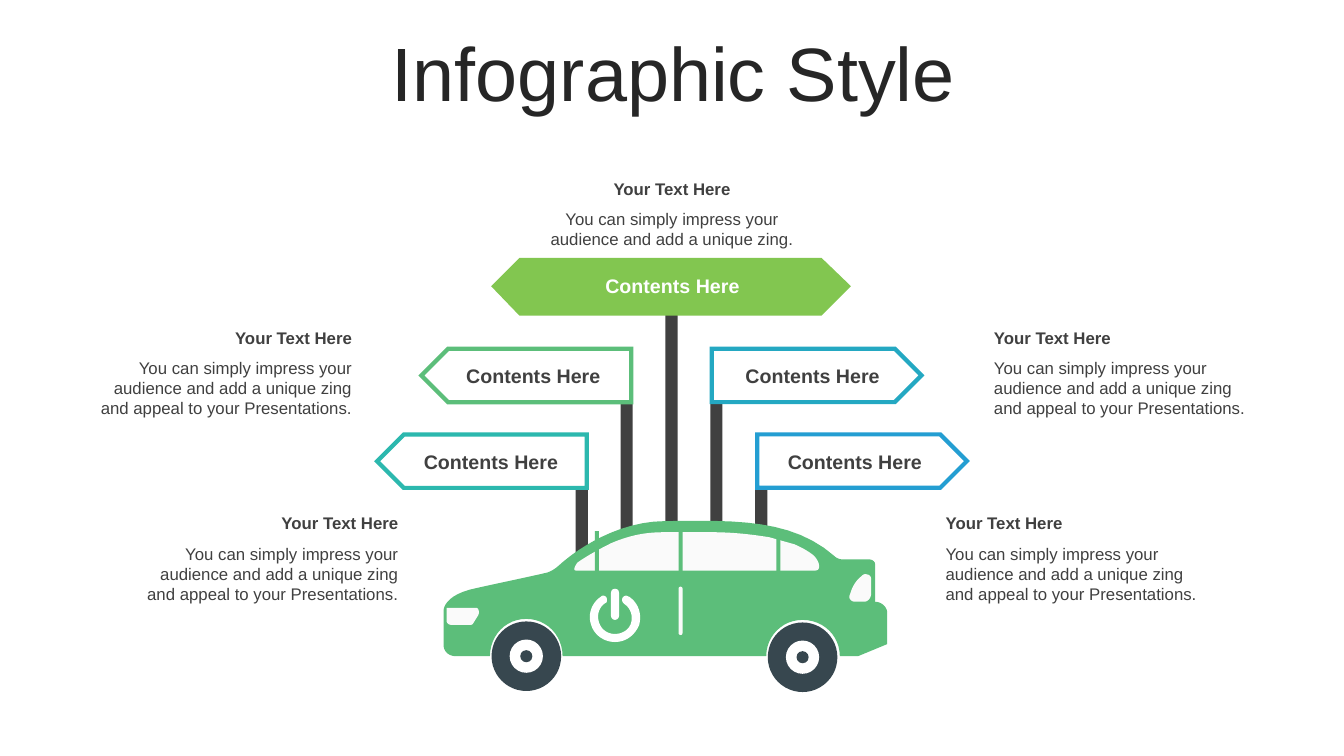
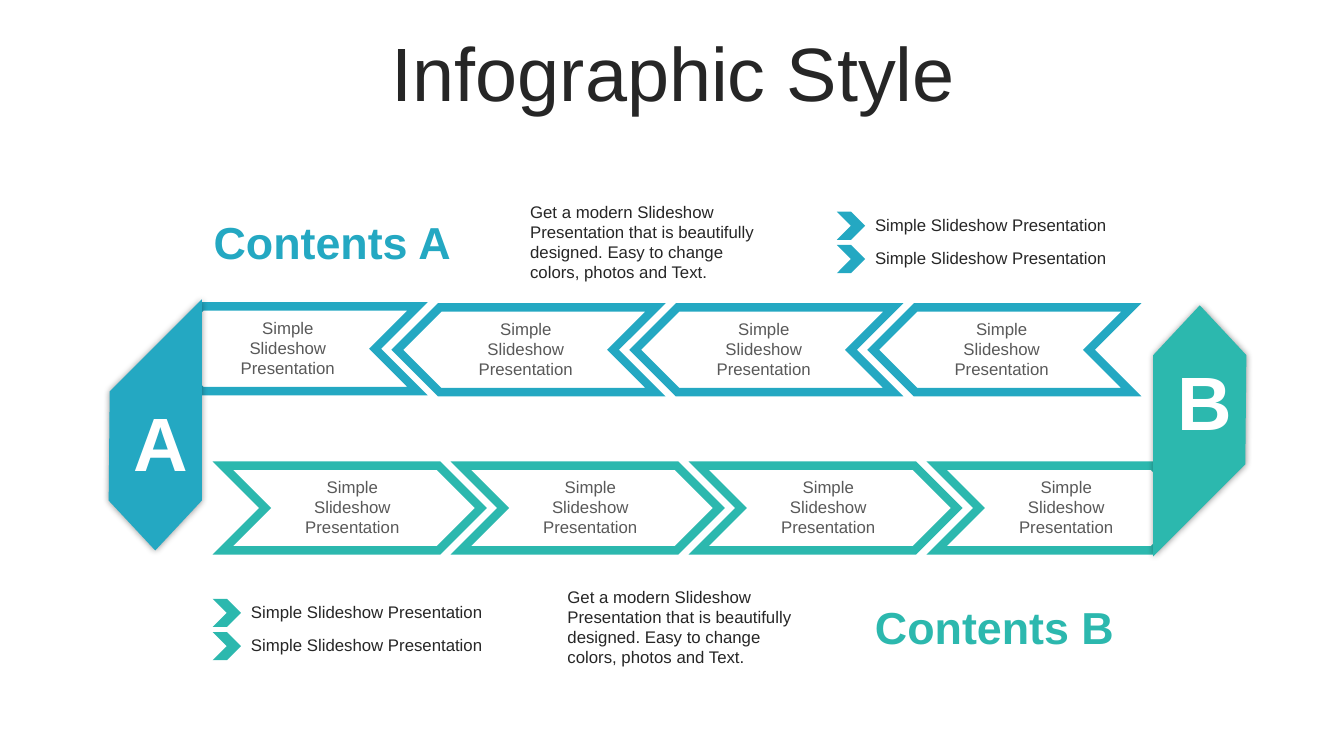
"""Build two infographic slides: a car with signposts and a two-lane process chain."""
from lxml.etree import SubElement
from pptx import Presentation
from pptx.dml.color import RGBColor
from pptx.enum.shapes import MSO_SHAPE
from pptx.enum.text import MSO_ANCHOR, MSO_AUTO_SIZE, PP_ALIGN
from pptx.oxml.ns import qn
from pptx.util import Inches, Pt

FONT = "Arial"
WHITE = RGBColor(0xFF, 0xFF, 0xFF)
GLASS = RGBColor(0xFA, 0xFA, 0xFA)
INK = RGBColor(0x26, 0x26, 0x26)
DARK = RGBColor(0x40, 0x40, 0x40)
GRAY = RGBColor(0x59, 0x59, 0x59)
TIRE = RGBColor(0x37, 0x47, 0x4F)
LIME = RGBColor(0x82, 0xC6, 0x50)
GREEN = RGBColor(0x5C, 0xBE, 0x7A)
TEAL = RGBColor(0x2C, 0xB8, 0xAE)
CYAN = RGBColor(0x24, 0xA8, 0xC2)
BLUE = RGBColor(0x24, 0x9E, 0xD2)
LEFT, CENTER, RIGHT = PP_ALIGN.LEFT, PP_ALIGN.CENTER, PP_ALIGN.RIGHT

TITLE = "Infographic Style"
CAPTION_HEAD = "Your Text Here"
SHORT_CAPTION = "You can simply impress your audience and add a unique zing."
LONG_CAPTION = ("You can simply impress your audience and add a unique zing "
                "and appeal to your Presentations.")
SIGN_LABEL = "Contents Here"
STEP_LABEL = "Simple Slideshow Presentation"
INTRO = ("Get a modern Slideshow Presentation that is beautifully designed. "
         "Easy to change colors, photos and Text.")

CAPTIONS = [
    (9.28, 5.04, LEFT, LONG_CAPTION),
    (1.26, 5.04, RIGHT, LONG_CAPTION),
    (9.76, 3.2, LEFT, LONG_CAPTION),
    (0.8, 3.2, RIGHT, LONG_CAPTION),
    (5.27, 1.72, CENTER, SHORT_CAPTION),
]
POSTS = [(4.31, 5.51), (3.45, 5.34), (3.09, 5.34), (3.45, 5.34), (4.31, 5.33)]
SIGNS = [
    (7.51, 4.31, 0, BLUE, 7.61),
    (7.06, 3.46, 0, CYAN, 7.19),
    (3.74, 4.31, 180, TEAL, 4),
    (4.18, 3.46, 180, GREEN, 4.42),
]
TOP_SIGN = [(5.16, 2.58), (8.14, 2.58), (8.41, 2.84), (8.14, 3.11), (5.16, 3.11), (4.9, 2.84)]

CAR_BODY = [
    (6.6, 5.17), (7.31, 5.16, 7.86, 5.15, 8.28, 5.52), (8.3, 5.54, 8.33, 5.55, 8.36, 5.55),
    (8.62, 5.55), (8.65, 5.55, 8.68, 5.57, 8.68, 5.6), (8.68, 5.97),
    (8.74, 5.97, 8.8, 6.02, 8.8, 6.08), (8.8, 6.39), (8.51, 6.51), (8.33, 6.51),
    (8.33, 6.31, 8.17, 6.15, 7.96, 6.15), (7.76, 6.15, 7.6, 6.31, 7.6, 6.51), (5.58, 6.51),
    (5.58, 6.3, 5.42, 6.14, 5.22, 6.14), (5.02, 6.14, 4.86, 6.3, 4.86, 6.51), (4.52, 6.51),
    (4.45, 6.51, 4.4, 6.46, 4.4, 6.4), (4.4, 6.08), (4.4, 6.08, 4.37, 5.93, 4.66, 5.85),
    (4.87, 5.8, 5.22, 5.73, 5.43, 5.68), (5.51, 5.65, 5.54, 5.61, 5.59, 5.57),
    (5.73, 5.45, 6.13, 5.17, 6.6, 5.17),
]
WINDOWS = [
    (5.71, 5.66), (5.68, 5.66, 5.71, 5.6, 5.73, 5.58), (5.83, 5.51, 5.94, 5.45, 6.06, 5.39),
    (6.2, 5.33, 6.36, 5.28, 6.58, 5.28), (7.07, 5.28), (7.25, 5.28, 7.45, 5.3, 7.63, 5.33),
    (7.88, 5.4), (7.95, 5.43, 8.02, 5.47, 8.07, 5.51), (8.14, 5.58, 8.14, 5.66, 8.09, 5.66),
]
HEADLIGHT = [
    (4.43, 6.03), (4.72, 6.03), (4.75, 6.03, 4.76, 6.08, 4.74, 6.11), (4.69, 6.19),
    (4.68, 6.2, 4.67, 6.2, 4.67, 6.2), (4.48, 6.2), (4.45, 6.2, 4.43, 6.18, 4.43, 6.16),
]
TAILLIGHT = [
    (8.6, 5.7), (8.62, 5.7, 8.64, 5.72, 8.64, 5.74), (8.64, 5.89),
    (8.64, 5.93, 8.61, 5.97, 8.57, 5.97), (8.48, 5.97), (8.44, 5.97, 8.41, 5.93, 8.43, 5.9),
    (8.45, 5.83, 8.48, 5.77, 8.54, 5.72), (8.56, 5.7, 8.58, 5.69, 8.6, 5.7),
]
POWER_RING = [
    (5.98, 5.91), (5.98, 5.91, 5.97, 5.91, 5.96, 5.92), (5.87, 5.98, 5.83, 6.09, 5.86, 6.19),
    (5.89, 6.3, 5.99, 6.37, 6.1, 6.37), (6.21, 6.37, 6.3, 6.3, 6.34, 6.2),
    (6.37, 6.09, 6.33, 5.98, 6.24, 5.92), (6.23, 5.92, 6.22, 5.91, 6.21, 5.91),
    (6.19, 5.91, 6.17, 5.93, 6.17, 5.95), (6.17, 5.97, 6.18, 5.98, 6.19, 5.99),
    (6.25, 6.03, 6.28, 6.1, 6.26, 6.18), (6.24, 6.25, 6.17, 6.29, 6.1, 6.29),
    (6.02, 6.29, 5.96, 6.24, 5.94, 6.17), (5.92, 6.1, 5.94, 6.02, 6.01, 5.98),
    (6.02, 5.98, 6.02, 5.96, 6.02, 5.95), (6.02, 5.93, 6.01, 5.91, 5.98, 5.91),
]
CAR_PARTS = [(CAR_BODY, GREEN), (WINDOWS, GLASS), (HEADLIGHT, GLASS),
             (TAILLIGHT, GLASS), (POWER_RING, WHITE)]
PILLARS = [5.9, 6.73, 7.7]
ROUNDED_BARS = [(6.73, 5.82, 0.04, 0.48, GLASS), (6.06, 5.84, 0.08, 0.31, WHITE)]
WHEELS = [(5.22, 6.51), (7.96, 6.52)]
WHEEL_RINGS = [(0.69, TIRE), (0.33, WHITE), (0.12, TIRE)]

STEP_COUNT, STEP_PITCH = 4, 2.36
LANES = [
    {"color": CYAN, "left": 1.58, "tops": [3.04, 3.05, 3.05, 3.05], "turn": 180,
     "label_shift": 0.67,
     "panel": [(1.96, 3.07), (1.96, 4.95), (1.54, 5.4), (1.12, 4.95), (1.13, 3.9)],
     "letter": ("A", 1.23, 3.88), "heading": ("Contents A", 2.02, 2.08),
     "intro": (5.16, 1.95), "bullets": (8.3, 2.1)},
    {"color": TEAL, "left": 2.21, "tops": [4.62] * STEP_COUNT, "turn": 0,
     "label_shift": 0.68,
     "panel": [(11.48, 5.42), (11.48, 3.54), (11.9, 3.09), (12.32, 3.54), (12.31, 4.59)],
     "letter": ("B", 11.58, 3.47), "heading": ("Contents B", 8.58, 5.9),
     "intro": (5.53, 5.77), "bullets": (2.11, 5.94)},
]


def paint(shape, fill, line=None, width=0):
    """Set fill and mitered outline and drop the shadow."""
    shape.shadow.inherit = False
    shape.fill.solid()
    shape.fill.fore_color.rgb = fill
    if line is None:
        shape.line.fill.background()
        return shape
    shape.line.color.rgb = line
    shape.line.width = Pt(width)
    SubElement(shape._element.spPr.find(qn("a:ln")), qn("a:miter"), lim="800000")
    return shape


def add_preset(page, kind, left, top, width, height, fill, line=None, weight=0):
    """Add a painted preset shape."""
    shape = page.shapes.add_shape(
        kind, Inches(left), Inches(top), Inches(width), Inches(height))
    return paint(shape, fill, line, weight)


def flatten(outline, steps=12):
    """Turn points and cubic segments into a list of points."""
    points = []
    for segment in outline:
        if len(segment) == 2:
            points.append(segment)
            continue
        corners = [points[-1], segment[:2], segment[2:4], segment[4:]]
        for step in range(1, steps + 1):
            t = step / steps
            weights = ((1 - t) ** 3, 3 * t * (1 - t) ** 2, 3 * t * t * (1 - t), t ** 3)
            points.append(tuple(
                sum(weight * corner[axis] for weight, corner in zip(weights, corners))
                for axis in (0, 1)))
    return points


def add_outline(page, outline, fill, line=None, weight=0):
    """Add a painted closed freeform."""
    points = [(Inches(x), Inches(y)) for x, y in flatten(outline)]
    builder = page.shapes.build_freeform(*points[0])
    builder.add_line_segments(points[1:], close=True)
    return paint(builder.convert_to_shape(), fill, line, weight)


def write(frame, text, size, color, align=LEFT, bold=False):
    """Write one formatted paragraph into a text frame."""
    frame.word_wrap = True
    para = frame.paragraphs[0]
    para.alignment = align
    span = para.add_run()
    span.text = text
    span.font.name = FONT
    span.font.size = Pt(size)
    span.font.bold = bold
    span.font.color.rgb = color
    return para


def add_text(page, text, left, top, width, height, size, color, align=LEFT, bold=False):
    """Add a wrapped text box."""
    box = page.shapes.add_textbox(Inches(left), Inches(top), Inches(width), Inches(height))
    write(box.text_frame, text, size, color, align, bold)
    return box


def add_page(deck):
    """Add a slide with the shared title style."""
    page = deck.slides.add_slide(deck.slide_layouts[5])
    title = page.shapes.title
    title.left, title.top = Inches(0.35), Inches(0.37)
    title.width, title.height = Inches(12.66), Inches(0.79)
    frame = title.text_frame
    frame.auto_size = MSO_AUTO_SIZE.NONE
    frame.vertical_anchor = MSO_ANCHOR.MIDDLE
    write(frame, TITLE, 54, INK, CENTER).line_spacing = 0.9
    return page


def add_car(page):
    """Draw the car with its windows, lights and wheels."""
    for outline, color in CAR_PARTS:
        add_outline(page, outline, color)
    for left in PILLARS:
        add_preset(page, MSO_SHAPE.RECTANGLE, left, 5.27, 0.04, 0.4, GREEN)
    for left, top, width, height, color in ROUNDED_BARS:
        bar = add_preset(page, MSO_SHAPE.ROUNDED_RECTANGLE, left, top, width, height, color)
        bar.adjustments[0] = 0.5
    for x, y in WHEELS:
        for size, color in WHEEL_RINGS:
            add_preset(page, MSO_SHAPE.OVAL, x - size / 2, y - size / 2, size, size, color)


def build_signposts(deck):
    """Build the slide with signs rising from the car."""
    page = add_page(deck)
    for index, (top, bottom) in enumerate(POSTS):
        add_preset(page, MSO_SHAPE.RECTANGLE, 5.71 + 0.445 * index, top, 0.12, bottom - top, DARK)
    for left, top, turn, color, label_left in SIGNS:
        sign = add_preset(page, MSO_SHAPE.PENTAGON, left, top, 2.08, 0.53, WHITE, color, 3)
        sign.rotation = turn
        add_text(page, SIGN_LABEL, label_left, top + 0.1, 1.74, 0.34, 14, DARK, CENTER, True)
    add_outline(page, TOP_SIGN, LIME, LIME, 3)
    add_text(page, SIGN_LABEL, 5.79, 2.67, 1.76, 0.34, 14, WHITE, CENTER, True)
    for left, top, align, text in CAPTIONS:
        add_text(page, CAPTION_HEAD, left, top, 2.79, 0.3, 12, DARK, align, True)
        add_text(page, text, left, top + 0.3, 2.79, 0.71, 12, DARK, align)
    add_car(page)


def add_glow_shadow(shape):
    """Give a shape a soft dark shadow."""
    effects = shape._element.spPr.find(qn("a:effectLst"))
    shadow = SubElement(effects, qn("a:outerShdw"), blurRad=str(Pt(5)), dist="0", dir="0",
                        algn="ctr", rotWithShape="0")
    color = SubElement(shadow, qn("a:srgbClr"), val="000000")
    SubElement(color, qn("a:alpha"), val="40000")


def add_lane(page, lane):
    """Draw one lane: steps, end panel, heading, intro and bullets."""
    color = lane["color"]
    for index, top in enumerate(lane["tops"]):
        left = lane["left"] + STEP_PITCH * index
        step = add_preset(page, MSO_SHAPE.CHEVRON, left, top, 2.56, 0.84, WHITE, color, 6)
        step.rotation = lane["turn"]
        add_text(page, STEP_LABEL, left + lane["label_shift"], top + 0.06, 1.21, 0.71,
                 12, GRAY, CENTER)
    add_glow_shadow(add_outline(page, lane["panel"], color, color, 6))
    letter, left, top = lane["letter"]
    add_text(page, letter, left, top, 0.63, 1.01, 54, WHITE, CENTER, True)
    heading, left, top = lane["heading"]
    box = add_text(page, heading, left, top, 2.6, 0.64, 32, color, bold=True)
    box.text_frame.vertical_anchor = MSO_ANCHOR.MIDDLE
    add_text(page, INTRO, *lane["intro"], 2.56, 0.91, 12, INK)
    left, first_top = lane["bullets"]
    for top in (first_top, first_top + 0.33):
        add_preset(page, MSO_SHAPE.CHEVRON, left, top, 0.28, 0.28, color)
        add_text(page, STEP_LABEL, left + 0.28, top - 0.02, 2.65, 0.3, 12, INK)


def build_lanes(deck):
    """Build the slide with the two process lanes."""
    page = add_page(deck)
    for lane in LANES:
        add_lane(page, lane)


def main():
    """Create and save the deck."""
    deck = Presentation()
    deck.slide_width, deck.slide_height = Inches(13.33), Inches(7.5)
    build_signposts(deck)
    build_lanes(deck)
    deck.save("out.pptx")


if __name__ == "__main__":
    main()
